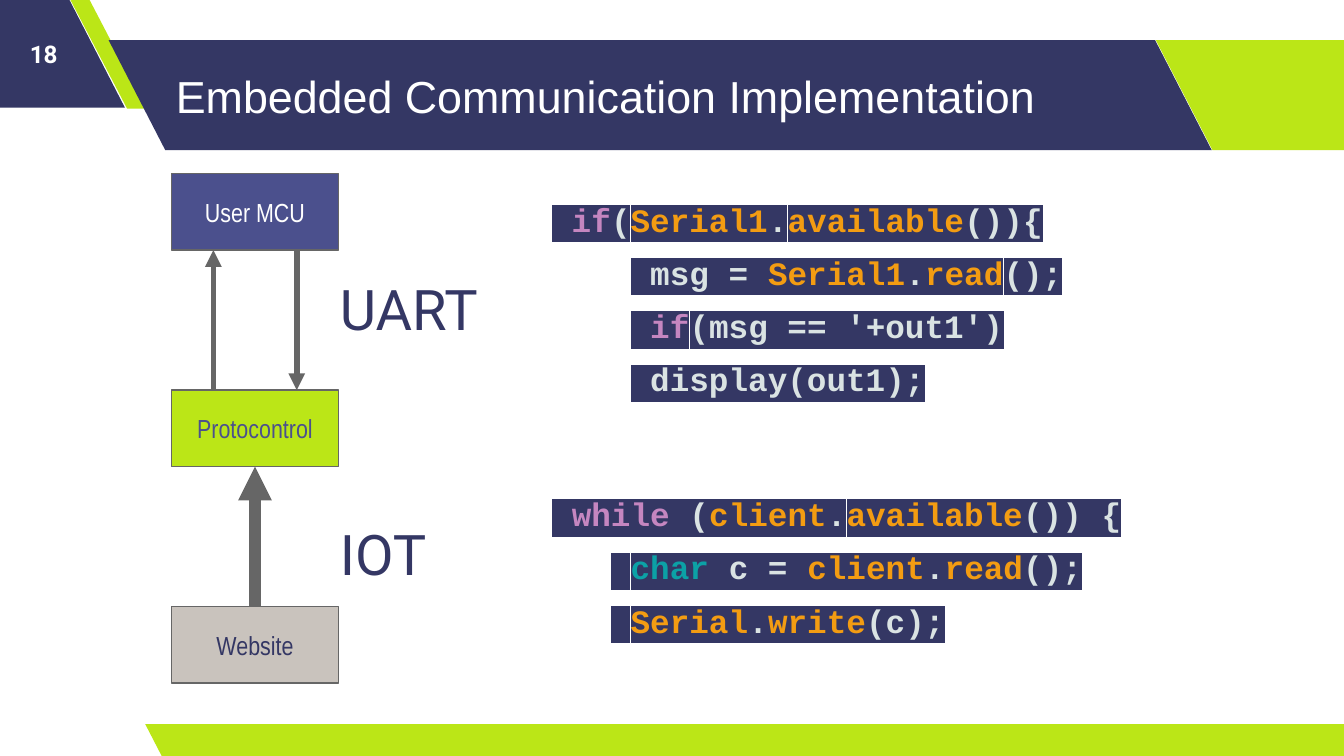
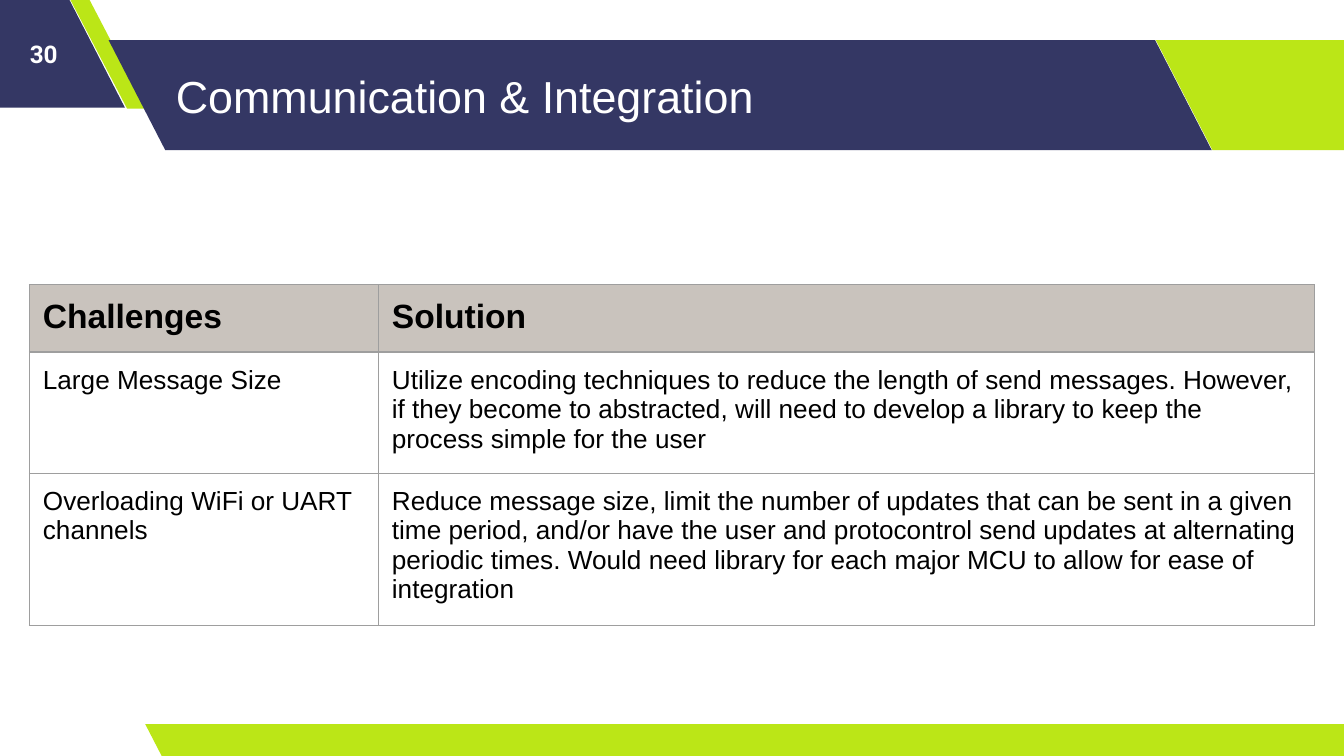
from dataclasses import dataclass
from typing import NamedTuple

from lxml.etree import SubElement
from pptx import Presentation
from pptx.dml.color import RGBColor
from pptx.enum.shapes import MSO_CONNECTOR as Line, MSO_SHAPE as Preset
from pptx.enum.text import MSO_ANCHOR as Anchor, PP_ALIGN as Align
from pptx.oxml import parse_xml
from pptx.oxml.ns import nsdecls, qn
from pptx.util import Pt

NAVY, LIME, INDIGO, STONE = "343764", "BBE617", "4B508D", "C9C3BD"
WHITE, BLACK, GRAY, BORDER = "FFFFFF", "000000", "666666", "9E9E9E"
PLAIN, KEYWORD, NAME, TYPE = "DAE3E3", "C586C0", "F39C12", "0CA1A6"
INSET = Pt(7.2)


class Box(NamedTuple):
    x: float
    y: float
    w: float
    h: float

    def emu(self) -> list:
        return [Pt(v) for v in self]


@dataclass
class Band:
    box: Box
    color: str
    slant: float = 0.515


@dataclass
class Node:
    text: str
    fill: str
    color: str


@dataclass
class Arrow:
    x: float
    start: float
    end: float
    width: float


@dataclass
class CodeLine:
    indent: int
    tokens: list


BANDS = [
    Band(Box(-71.3, -1.4, 138.2, 59), NAVY),
    Band(Box(37.4, -0.8, 41, 59), LIME, 0.75),
    Band(Box(58.2, 21.5, 591, 59), NAVY),
    Band(Box(619.2, 21.5, 138.2, 59), LIME),
    Band(Box(77.8, 387.9, 658.8, 18), LIME),
]
TITLE_BOX = Box(87.1, 21.5, 529.2, 59)
NUMBER_BOX = Box(0, 0, 46.8, 57.6)

NODES = [
    Node("User MCU", INDIGO, WHITE),
    Node("Protocontrol", LIME, INDIGO),
    Node("Website", STONE, NAVY),
]
NODE_X, NODE_Y, NODE_W, NODE_H, NODE_STEP = 92, 93, 89.3, 41, 116

UART_CODE = [
    CodeLine(0, [(" if", KEYWORD), ("(", PLAIN), ("Serial1", NAME), (".", PLAIN),
                 ("available", NAME), ("()){", PLAIN)]),
    CodeLine(4, [(" msg = ", PLAIN), ("Serial1", NAME), (".", PLAIN),
                 ("read", NAME), ("();", PLAIN)]),
    CodeLine(4, [(" if", KEYWORD), ("(msg == '+out1')", PLAIN)]),
    CodeLine(4, [(" display(out1);", PLAIN)]),
]
IOT_CODE = [
    CodeLine(0, [(" ", PLAIN), ("while", KEYWORD), (" (", PLAIN), ("client", NAME),
                 (".", PLAIN), ("available", NAME), ("()) {", PLAIN)]),
    CodeLine(3, [(" ", PLAIN), ("char", TYPE), (" c = ", PLAIN), ("client", NAME),
                 (".", PLAIN), ("read", NAME), ("();", PLAIN)]),
    CodeLine(3, [(" ", PLAIN), ("Serial", NAME), (".", PLAIN), ("write", NAME),
                 ("(c);", PLAIN)]),
]

TABLE_ROWS = [
    ("Challenges", "Solution"),
    ("Large Message Size",
     "Utilize encoding techniques to reduce the length of send messages. However, "
     "if they become to abstracted, will need to develop a library to keep the "
     "process simple for the user"),
    ("Overloading WiFi or UART channels",
     "Reduce message size, limit the number of updates that can be sent in a given "
     "time period, and/or have the user and protocontrol send updates at alternating "
     "periodic times. Would need library for each major MCU to allow for ease of "
     "integration"),
]
COL_WIDTHS, ROW_HEIGHTS = (187, 501.5), (35, 56, 63)


def rgb(color: str) -> RGBColor:
    return RGBColor.from_string(color)


def write(p, text: str, *, size: float, color: str, font: str = "Arial",
          bold: bool = False, align=None, highlight: str = "") -> None:
    r = p.add_run()
    r.text = text
    r.font.size = Pt(size)
    r.font.name = font
    r.font.bold = bold
    r.font.color.rgb = rgb(color)
    if align is not None:
        p.alignment = align
    if highlight:
        r.font._element.find(qn("a:solidFill")).addnext(parse_xml(
            f'<a:highlight {nsdecls("a")}><a:srgbClr val="{highlight}"/></a:highlight>'))


def set_frame(tf, anchor=Anchor.TOP):
    tf.word_wrap = True
    tf.vertical_anchor = anchor
    tf.margin_left = tf.margin_right = tf.margin_top = tf.margin_bottom = INSET
    return tf


def add_text(s, box: Box, text: str, *, anchor=Anchor.TOP, **fmt) -> None:
    tf = set_frame(s.shapes.add_textbox(*box.emu()).text_frame, anchor)
    write(tf.paragraphs[0], text, **fmt)


def add_filled(s, preset, box: Box, color: str):
    sp = s.shapes.add_shape(preset, *box.emu())
    sp.shadow.inherit = False
    sp.fill.solid()
    sp.fill.fore_color.rgb = rgb(color)
    sp.line.fill.background()
    return sp


def add_band(s, band: Band) -> None:
    sp = add_filled(s, Preset.PARALLELOGRAM, band.box, band.color)
    sp.adjustments[0] = band.slant
    sp._element.spPr.find(qn("a:xfrm")).set("flipH", "1")


def add_node(s, node: Node, y: float) -> None:
    sp = add_filled(s, Preset.RECTANGLE, Box(NODE_X, y, NODE_W, NODE_H), node.fill)
    sp.line.color.rgb = rgb(GRAY)
    sp.line.width = Pt(0.75)
    tf = set_frame(sp.text_frame, Anchor.MIDDLE)
    write(tf.paragraphs[0], node.text, size=14, color=node.color,
          font="Arial Narrow", align=Align.CENTER)


def add_arrow(s, arrow: Arrow) -> None:
    x = Pt(arrow.x)
    sp = s.shapes.add_connector(Line.STRAIGHT, x, Pt(arrow.start), x, Pt(arrow.end))
    sp.line.color.rgb = rgb(GRAY)
    sp.line.width = Pt(arrow.width)
    SubElement(sp.line._get_or_add_ln(), qn("a:tailEnd"), type="triangle")
    SubElement(sp._element.spPr, qn("a:effectLst"))


def add_code(s, box: Box, lines: list) -> None:
    tf = set_frame(s.shapes.add_textbox(*box.emu()).text_frame)
    fmt = dict(size=17.5, font="Courier New", bold=True)
    for i, line in enumerate(lines):
        p = tf.add_paragraph() if i else tf.paragraphs[0]
        p.line_spacing = 1.36
        if line.indent:
            write(p, " " * line.indent, color=PLAIN, **fmt)
        for text, color in line.tokens:
            write(p, text, color=color, highlight=NAVY, **fmt)


def add_borders(cell) -> None:
    tc_pr = cell._tc.get_or_add_tcPr()
    for side in ("lnL", "lnR", "lnT", "lnB"):
        tc_pr.append(parse_xml(
            f'<a:{side} {nsdecls("a")} w="{Pt(0.75)}"><a:solidFill>'
            f'<a:srgbClr val="{BORDER}"/></a:solidFill></a:{side}>'))


def add_grid(s, x: float, y: float) -> None:
    box = Box(x, y, sum(COL_WIDTHS), sum(ROW_HEIGHTS))
    table = s.shapes.add_table(len(ROW_HEIGHTS), len(COL_WIDTHS), *box.emu()).table
    table.first_row = table.horz_banding = False
    for col, width in zip(table.columns, COL_WIDTHS):
        col.width = Pt(width)
    for i, (row, height) in enumerate(zip(table.rows, ROW_HEIGHTS)):
        row.height = Pt(height)
        header = i == 0
        for cell, text in zip(row.cells, TABLE_ROWS[i]):
            add_borders(cell)
            if header:
                cell.fill.solid()
                cell.fill.fore_color.rgb = rgb(STONE)
            else:
                cell.fill.background()
            cell.margin_left = cell.margin_right = INSET
            cell.margin_top = cell.margin_bottom = INSET
            write(cell.text_frame.paragraphs[0], text, size=18 if header else 14,
                  color=BLACK, bold=header)


def new_slide(prs, title: str, number: int):
    s = prs.slides.add_slide(prs.slide_layouts[6])
    for band in BANDS:
        add_band(s, band)
    add_text(s, TITLE_BOX, title, anchor=Anchor.MIDDLE, size=24, color=WHITE)
    add_text(s, NUMBER_BOX, str(number), anchor=Anchor.MIDDLE, size=13, color=WHITE,
             font="Roboto", bold=True, align=Align.CENTER)
    return s


def build_implementation(prs) -> None:
    s = new_slide(prs, "Embedded Communication Implementation", 18)
    user, control, website = [NODE_Y + i * NODE_STEP for i in range(len(NODES))]
    for node, y in zip(NODES, (user, control, website)):
        add_node(s, node, y)
    center, offset = NODE_X + NODE_W / 2, NODE_W / 4
    for arrow in (
        Arrow(center, website, control + NODE_H, 6),
        Arrow(center - offset, control, user + NODE_H, 3),
        Arrow(center + offset, user + NODE_H, control, 3),
    ):
        add_arrow(s, arrow)
    for text, box in (("UART", Box(175, 139.7, 129, 26.6)),
                      ("IOT", Box(175, 271.4, 84.2, 21.6))):
        add_text(s, box, text, size=30, color=NAVY, font="Roboto")
    add_code(s, Box(288.7, 92.2, 313.2, 122.4), UART_CODE)
    add_code(s, Box(288.7, 250, 339.8, 93.6), IOT_CODE)


def build_integration(prs) -> None:
    s = new_slide(prs, "Communication & Integration", 30)
    add_grid(s, 15.8, 152.6)


def main() -> None:
    prs = Presentation()
    prs.slide_width, prs.slide_height = Pt(720), Pt(405)
    build_implementation(prs)
    build_integration(prs)
    prs.save("out.pptx")


if __name__ == "__main__":
    main()
